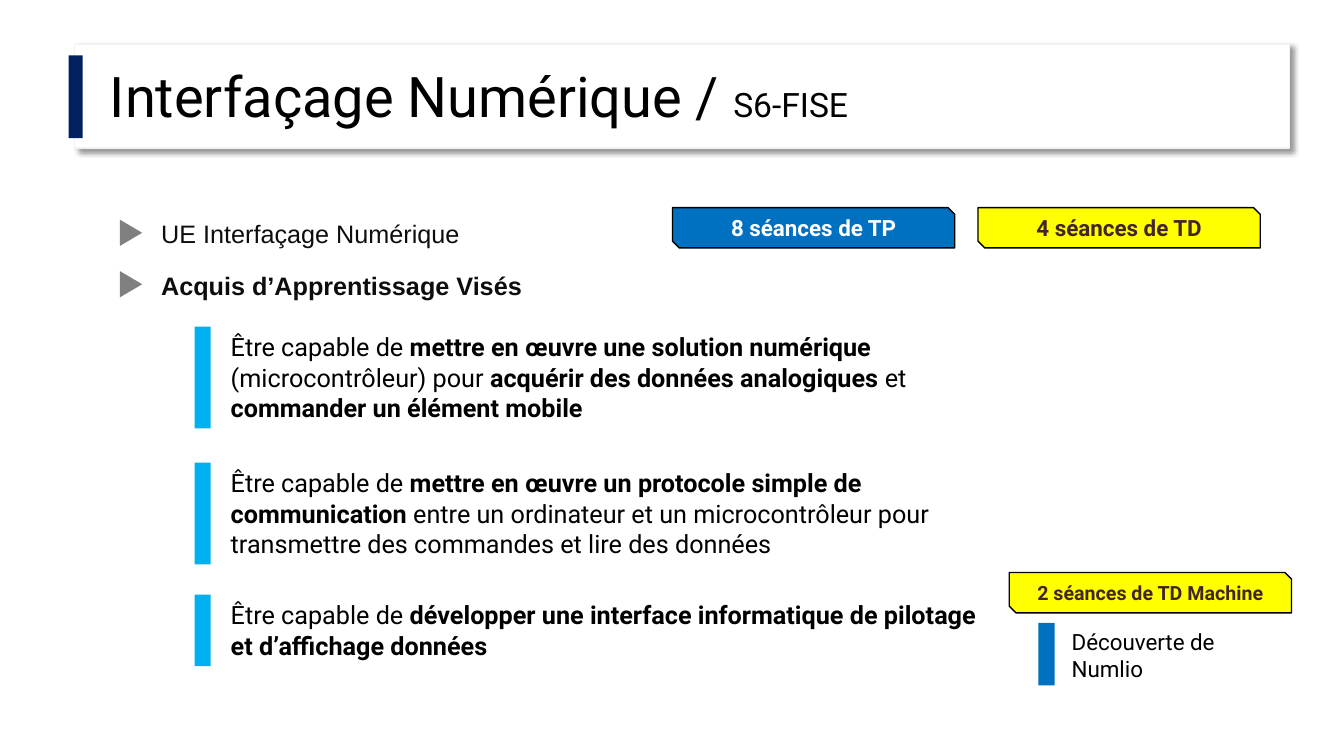
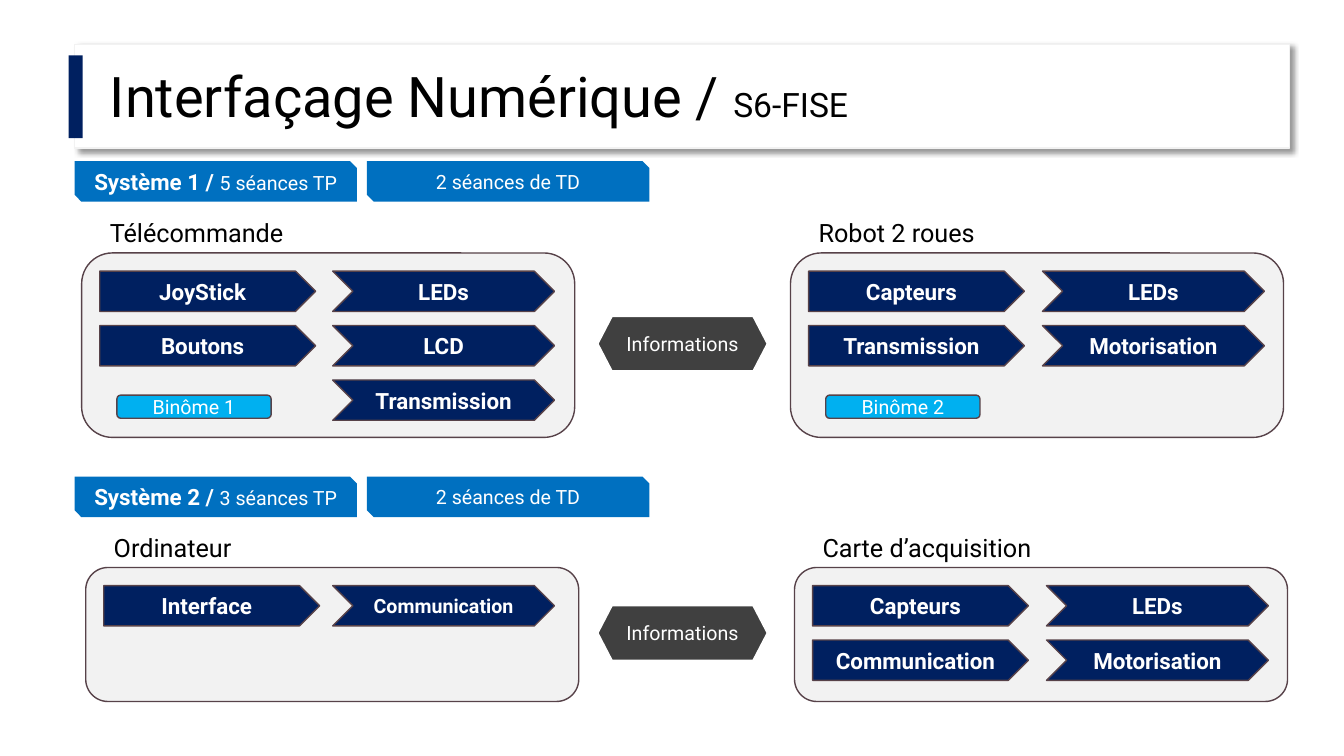
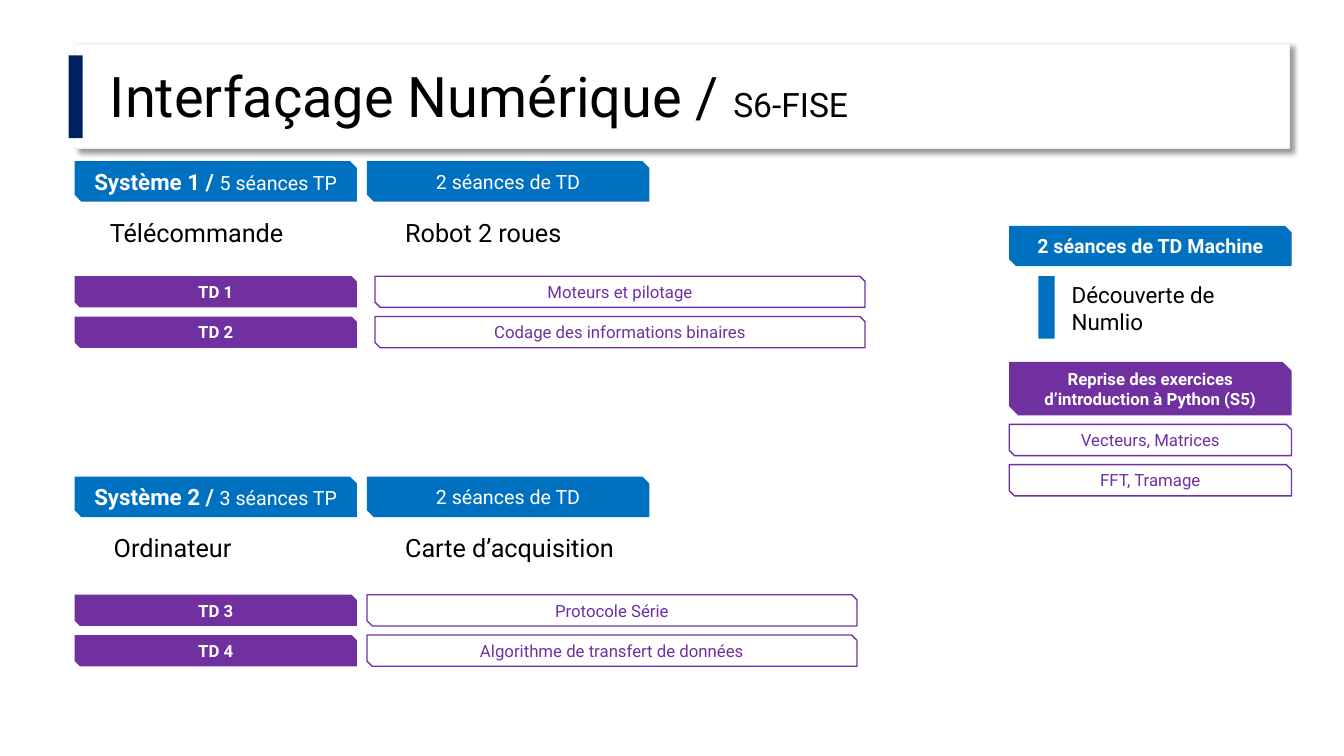
from lxml.etree import SubElement
from pptx import Presentation
from pptx.dml.color import RGBColor
from pptx.enum.shapes import MSO_SHAPE
from pptx.enum.text import MSO_ANCHOR, MSO_AUTO_SIZE, PP_ALIGN
from pptx.oxml.ns import qn
from pptx.util import Inches, Pt

# ---- Shared look ----
NAVY, BLUE, SKY, PURPLE = "002060", "0070C0", "00B0F0", "7030A0"
WHITE, BLACK, YELLOW, BROWN = "FFFFFF", "000000", "FFFF00", "412624"
PALE, GREY, DARK, INK, EDGE = "F2F2F2", "808080", "404040", "0D0D0D", "574249"

TITLE = [("Interfaçage Numérique / ", {"size": 40}), ("S6-FISE", {"size": 24})]
TITLE_BOX = (0.99, 0.64, 9.81, 0.77)
PANEL_BOX = (0.74, 0.44, 12.05, 1.03)
ACCENT_BOX = (0.68, 0.55, 0.14, 0.82)

TAG_WIDTH, TAG_HEIGHT, THIN_HEIGHT = 2.8, 0.4, 0.31
LEFT_TAG, SECOND_TAG, RIGHT_TAG = 0.74, 3.64, 10.01
SYSTEM_TOPS = (1.6, 4.73)
BOLD = {"bold": True}

# ---- Content ----
BULLETS = [("UE Interfaçage Numérique", False), ("Acquis d’Apprentissage Visés", True)]
SESSIONS = [(6.67, "8 séances de TP", BLUE, WHITE), (9.7, "4 séances de TD", YELLOW, BROWN)]
# top, height, runs
GOALS = [
    (3.24, 1.01, [("Être capable de ", {}),
                  ("mettre en œuvre une solution numérique", BOLD),
                  (" (microcontrôleur) pour ", {}),
                  ("acquérir des données analogiques ", BOLD),
                  ("et", {}), (" commander un élément mobile", BOLD)]),
    (4.59, 1.01, [("Être capable de ", {}),
                  ("mettre en œuvre un protocole simple de communication ", BOLD),
                  ("entre un ordinateur et un microcontrôleur pour transmettre "
                   "des commandes et lire des données", {})]),
    (5.9, 0.71, [("Être capable de ", {}),
                 ("développer une interface informatique de pilotage "
                  "et d’affichage données", BOLD)]),
]
MACHINE_SESSIONS = "2 séances de TD Machine"
DISCOVERY = "Découverte de Numlio"
SYSTEM_TAGS = [("Système 1 / ", "5 séances TP"), ("Système 2 / ", "3 séances TP")]
TD_SESSIONS = "2 séances de TD"
LABEL_WIDTHS = {"Télécommande": 2.01, "Robot 2 roues": 1.82,
                "Ordinateur": 1.47, "Carte d’acquisition": 2.34}

# label, left, top, height, chevron left, inputs, outputs, pair
DEVICES = [
    ("Télécommande", 0.81, 2.51, 1.83, 3.3,
     ["JoyStick", "Boutons"], ["LEDs", "LCD", "Transmission"], "Binôme 1"),
    ("Robot 2 roues", 7.84, 2.51, 1.83, 10.34,
     ["Capteurs", "Transmission"], ["LEDs", "Motorisation"], "Binôme 2"),
    ("Ordinateur", 0.85, 5.63, 1.33, 3.3, ["Interface"], ["Communication"], None),
    ("Carte d’acquisition", 7.88, 5.63, 1.33, 10.38,
     ["Capteurs", "Communication"], ["LEDs", "Motorisation"], None),
]
LINK_TOPS = (3.14, 6.01)

# labels with their left, top of the labels, top of the rows, left of the topics, rows
TUTORIALS = [
    ([("Télécommande", 0.99), ("Robot 2 roues", 3.92)], 2.11, 2.74, 3.72,
     [("TD 1", "Moteurs et pilotage"), ("TD 2", "Codage des informations binaires")]),
    ([("Ordinateur", 1.03), ("Carte d’acquisition", 3.92)], 5.23, 5.9, 3.64,
     [("TD 3", "Protocole Série"), ("TD 4", "Algorithme de transfert de données")]),
]
REVISION = "Reprise des exercices d’introduction à Python (S5)"
REVISION_TOPICS = ["Vecteurs, Matrices", "FFT, Tramage"]


# ---- Helpers ----
def color(value):
    return RGBColor.from_string(value)


def place(shape, box):
    for name, value in zip(("left", "top", "width", "height"), box):
        setattr(shape, name, Inches(value))


def write(frame, content, **defaults):
    """Fill a text frame with one string or with (text, format) runs."""
    paragraph = frame.paragraphs[0]
    runs = [(content, {})] if isinstance(content, str) else content
    for text, changes in runs:
        run = paragraph.add_run()
        run.text = text
        style = {"size": 18, "name": "Roboto", "color": BLACK, "bold": False,
                 **defaults, **changes}
        run.font.color.rgb = color(style.pop("color"))
        style["size"] = Pt(style["size"])
        for name, value in style.items():
            setattr(run.font, name, value)
    return paragraph


def add_block(slide, kind, box, fill, line=None, content=None, **font):
    shape = slide.shapes.add_shape(kind, *map(Inches, box))
    shape.shadow.inherit = False
    shape.fill.solid()
    shape.fill.fore_color.rgb = color(fill)
    if line:
        shape.line.color.rgb = color(line)
        shape.line.width = Pt(1)
    else:
        shape.line.fill.background()
    if content:
        frame = shape.text_frame
        frame.word_wrap = True
        frame.vertical_anchor = MSO_ANCHOR.MIDDLE
        paragraph = write(frame, content, **{"color": WHITE, **font})
        paragraph.alignment = PP_ALIGN.CENTER
    return shape


def add_text(slide, box, content, wrap=True, **font):
    frame = slide.shapes.add_textbox(*map(Inches, box)).text_frame
    frame.word_wrap = wrap
    frame.auto_size = MSO_AUTO_SIZE.SHAPE_TO_FIT_TEXT
    write(frame, content, **font)


def add_tag(slide, left, top, content, fill=BLUE, line=None,
            width=TAG_WIDTH, height=TAG_HEIGHT, **font):
    add_block(slide, MSO_SHAPE.SNIP_2_DIAG_RECTANGLE, (left, top, width, height),
              fill, line, content, **font)


def add_topic(slide, left, top, content, width):
    add_tag(slide, left, top, content, WHITE, PURPLE, width, THIN_HEIGHT,
            size=12, color=PURPLE)


def add_label(slide, left, top, label):
    add_text(slide, (left, top, LABEL_WIDTHS[label], 0.4), label, wrap=False)


def add_shadow(shape):
    effects = shape._element.spPr.find(qn("a:effectLst"))
    shadow = SubElement(effects, qn("a:outerShdw"), blurRad=str(Pt(4)), dist=str(Pt(3)),
                        dir=str(45 * 60000), algn="tl", rotWithShape="0")
    tint = SubElement(shadow, qn("a:srgbClr"), val=BLACK)
    SubElement(tint, qn("a:alpha"), val="40000")


def add_titled_slide(presentation):
    slide = presentation.slides.add_slide(presentation.slide_layouts[5])
    panel = add_block(slide, MSO_SHAPE.RECTANGLE, PANEL_BOX, WHITE, PALE)
    add_shadow(panel)
    title = slide.shapes.title
    panel._element.addnext(title._element)
    place(title, TITLE_BOX)
    frame = title.text_frame
    frame.word_wrap = True
    frame.auto_size = MSO_AUTO_SIZE.NONE
    frame.vertical_anchor = MSO_ANCHOR.TOP
    paragraph = write(frame, TITLE)
    paragraph.alignment = PP_ALIGN.LEFT
    paragraph.line_spacing = 0.9
    paragraph.space_before = Pt(0)
    add_block(slide, MSO_SHAPE.RECTANGLE, ACCENT_BOX, NAVY)
    return slide


def add_system_tags(slide):
    for top, (system, practicals) in zip(SYSTEM_TOPS, SYSTEM_TAGS):
        runs = [(system, {"size": 16, "bold": True}), (practicals, {"size": 14})]
        add_tag(slide, LEFT_TAG, top, runs)
        add_tag(slide, SECOND_TAG, top, TD_SESSIONS, size=14)


def add_machine_sessions(slide, top, fill, line, font_color):
    add_tag(slide, RIGHT_TAG, top, MACHINE_SESSIONS, fill, line,
            size=14, bold=True, color=font_color)
    add_text(slide, (10.53, top + 0.5, 2.12, 0.64), DISCOVERY, size=16)
    add_block(slide, MSO_SHAPE.RECTANGLE, (10.3, top + 0.5, 0.16, 0.62), BLUE)


# ---- Slides ----
def build_goals(slide):
    for row, (text, bold) in enumerate(BULLETS):
        top = 2.12 + 0.51 * row
        marker = add_block(slide, MSO_SHAPE.ISOSCELES_TRIANGLE,
                           (1.17, top + 0.08, 0.26, 0.22), GREY)
        marker.rotation = 90
        add_text(slide, (1.5, top, 5.75, 0.4), text, name="Arial", color=INK, bold=bold)
    for left, text, fill, font_color in SESSIONS:
        add_tag(slide, left, 2.06, text, fill, BLACK, size=16, bold=True, color=font_color)
    for top, height, runs in GOALS:
        add_text(slide, (2.19, top, 7.71, height), runs)
        add_block(slide, MSO_SHAPE.RECTANGLE, (1.93, top, 0.16, height), SKY)
    add_machine_sessions(slide, 5.68, YELLOW, BLACK, BROWN)


def build_systems(slide):
    for label, left, top, height, chevron_left, inputs, outputs, pair in DEVICES:
        inner = left + 0.18
        add_block(slide, MSO_SHAPE.ROUNDED_RECTANGLE, (left, top, 4.89, height), PALE, EDGE)
        add_label(slide, inner, top - 0.4, label)
        columns = [(MSO_SHAPE.PENTAGON, inner, 2.14, inputs),
                   (MSO_SHAPE.CHEVRON, chevron_left, 2.2, outputs)]
        for kind, column_left, width, names in columns:
            for row, name in enumerate(names):
                narrow = kind == MSO_SHAPE.CHEVRON and name == "Communication"
                box = (column_left, top + 0.18 + 0.54 * row, width, 0.4)
                add_block(slide, kind, box, NAVY, EDGE, name,
                          size=14 if narrow else 16, bold=True)
        if pair:
            add_block(slide, MSO_SHAPE.ROUNDED_RECTANGLE,
                      (left + 0.35, top + 1.41, 1.53, 0.23), SKY, EDGE, pair, size=14)
    for top in LINK_TOPS:
        link = add_block(slide, MSO_SHAPE.LEFT_RIGHT_ARROW, (5.93, top, 1.68, 0.54),
                         DARK, WHITE, "Informations", size=14)
        link.adjustments[0], link.adjustments[1] = 1, 0.26
    add_system_tags(slide)


def build_tutorials(slide):
    add_system_tags(slide)
    for labels, label_top, rows_top, topic_left, rows in TUTORIALS:
        for label, left in labels:
            add_label(slide, left, label_top, label)
        for row, (number, topic) in enumerate(rows):
            top = rows_top + 0.4 * row
            add_tag(slide, LEFT_TAG, top, number, PURPLE, height=THIN_HEIGHT,
                    size=12, bold=True)
            add_topic(slide, topic_left, top, topic, 4.86)
    add_machine_sessions(slide, 2.24, BLUE, None, WHITE)
    add_tag(slide, RIGHT_TAG, 3.59, REVISION, PURPLE, height=0.53, size=12, bold=True)
    for row, topic in enumerate(REVISION_TOPICS):
        add_topic(slide, RIGHT_TAG, 4.21 + 0.4 * row, topic, TAG_WIDTH)


def main():
    presentation = Presentation()
    presentation.slide_width = Inches(13.33)
    presentation.slide_height = Inches(7.5)
    for build in (build_goals, build_systems, build_tutorials):
        build(add_titled_slide(presentation))
    presentation.save("out.pptx")


if __name__ == "__main__":
    main()
